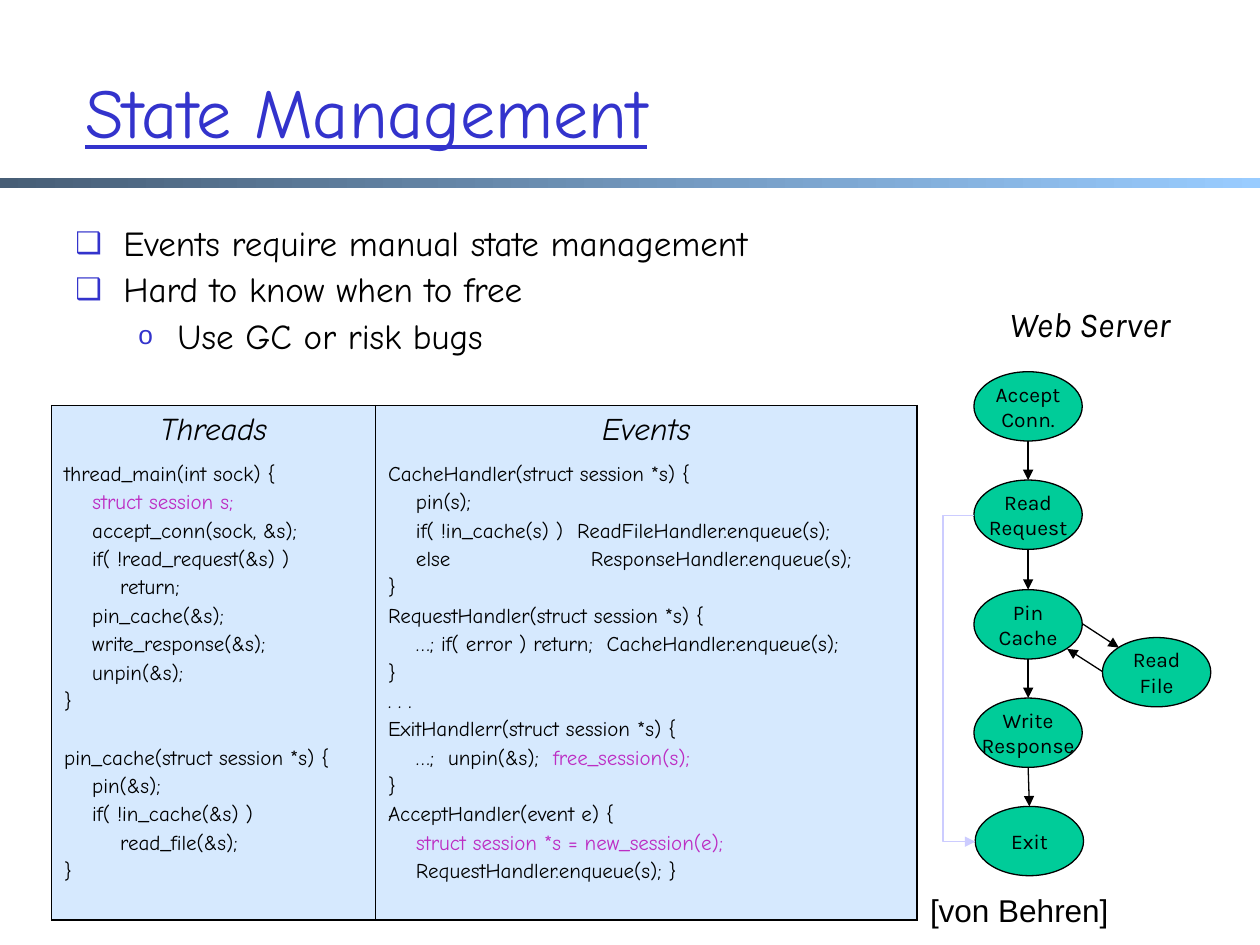
import lxml.etree
import pptx
import pptx.dml.color
import pptx.enum.shapes
import pptx.enum.text
import pptx.oxml.ns
import pptx.util

Inches, Pt = pptx.util.Inches, pptx.util.Pt
RGB = pptx.dml.color.RGBColor.from_string
ALIGN, ANCHOR = pptx.enum.text.PP_ALIGN, pptx.enum.text.MSO_ANCHOR
SHAPE, LINK = pptx.enum.shapes.MSO_SHAPE, pptx.enum.shapes.MSO_CONNECTOR
SPACE = pptx.oxml.ns.nsdecls("a")

THEME = {
    "title": {"size": Pt(40), "name": "Comic Neue", "underline": True, "color": "3333CC"},
    "body": {"size": Pt(20), "name": "Comic Neue", "color": "000000"},
    "head": {"size": Pt(18), "name": "Comic Neue", "italic": True, "color": "000000"},
    "code": {"size": Pt(12), "name": "Comic Neue", "color": "000000"},
    "state": {"size": Pt(12), "name": "Comic Neue", "color": "BC2DC3"},
    "label": {"size": Pt(20), "name": "Karla", "italic": True, "color": "000000"},
    "node": {"size": Pt(12), "name": "Karla", "color": "000000"},
    "cite": {"size": Pt(18), "name": "Arial", "color": "000000"},
    "bullet": "3333CC", "cell": "D6E9FE", "oval": "00CC99",
    "ink": "000000", "loop": "CCCCFF", "bar": ("475E76", "99CCFF"),
}


def write(para, text, kind):
    """Add a styled run to the paragraph; a newline becomes a line break."""
    for num, part in enumerate(text.split("\n")):
        if num:
            para.add_line_break()
        run = para.add_run()
        run.text = part
        for key, value in THEME[kind].items():
            if key == "color":
                run.font.color.rgb = RGB(value)
            else:
                setattr(run.font, key, value)


def xml(tag, inner="", attrs=""):
    return lxml.etree.fromstring(f"<a:{tag} {SPACE} {attrs}>{inner}</a:{tag}>")


deck = pptx.Presentation()
deck.slide_width, deck.slide_height = Inches(10), Inches(7.5)
slide = deck.slides.add_slide(deck.slide_layouts[6])
shapes = slide.shapes

# Bar under the title
bar = shapes.add_shape(SHAPE.RECTANGLE, 0, Inches(1.41), Inches(10), Inches(0.08))
bar.shadow.inherit = False
bar.line.fill.background()
bar.fill.gradient()
bar.fill.gradient_angle = 0
for stop, color in zip(bar.fill.gradient_stops, THEME["bar"]):
    stop.color.rgb = RGB(color)

# Single-line text
for text, kind, spot, form in [
    ("State Management", "title", (0.58, 0.25, 8.5, 1.25),
     {"word_wrap": True, "vertical_anchor": ANCHOR.MIDDLE}),
    ("Web Server", "label", (7.84, 2.35, 1.62, 0.43), {"word_wrap": False}),
    ("[von Behren]", "cite", (7.28, 7.02, 1.62, 0.4), {"word_wrap": False}),
]:
    frame = shapes.add_textbox(*map(Inches, spot)).text_frame
    for key, value in form.items():
        setattr(frame, key, value)
    para = frame.paragraphs[0]
    para.alignment = ALIGN.LEFT if kind == "title" else ALIGN.CENTER
    write(para, text, kind)

# Bullets
frame = shapes.add_textbox(Inches(0.5), Inches(1.75), Inches(7.32), Inches(1.18)).text_frame
frame.word_wrap = True
LEVELS = [("❑", 85, 0.38, 0.38), ("o", 75, 0.81, 0.31)]
for num, (level, text) in enumerate([
    (0, "Events require manual state management"),
    (0, "Hard to know when to free"),
    (1, "Use GC or risk bugs"),
]):
    para = frame.add_paragraph() if num else frame.paragraphs[0]
    mark, scale, left, hang = LEVELS[level]
    para.level = level
    para.line_spacing = 0.9
    para.space_before = Pt(4.7 if num else 0)
    props = para._p.get_or_add_pPr()
    props.set("marL", str(Inches(left)))
    props.set("indent", str(-Inches(hang)))
    props.append(xml("buClr", f'<a:srgbClr val="{THEME["bullet"]}"/>'))
    props.append(xml("buSzPct", attrs=f'val="{scale * 1000}"'))
    props.append(xml("buFont", attrs='typeface="Arial"'))
    props.append(xml("buChar", attrs=f'char="{mark}"'))
    write(para, text, "body")

# Code table: text after "|" is state handling, an empty line is a gap
THREADS = """thread_main(int sock) {
    |struct session s;
    accept_conn(sock, &s);
    if( !read_request(&s) )
        return;
    pin_cache(&s);
    write_response(&s);
    unpin(&s);
}

pin_cache(struct session *s) {
    pin(&s);
    if( !in_cache(&s) )
        read_file(&s);
}"""
EVENTS = """CacheHandler(struct session *s) {
    pin(s);
    if( !in_cache(s) )  ReadFileHandler.enqueue(s);
    else\tResponseHandler.enqueue(s);
}
RequestHandler(struct session *s) {
    …; if( error ) return;  CacheHandler.enqueue(s);
}
. . .
ExitHandlerr(struct session *s) {
    …;  unpin(&s);|  free_session(s);
}
AcceptHandler(event e) {
    |struct session *s = new_session(e);
    RequestHandler.enqueue(s); }"""

table = shapes.add_table(2, 2, Inches(0.41), Inches(3.22), Inches(6.87), Inches(4.08)).table
table.first_row = table.horz_banding = False
for row, high in zip(table.rows, (0.4, 3.68)):
    row.height = Inches(high)
for col, (wide, title, code) in enumerate([(2.57, "Threads", THREADS), (4.3, "Events", EVENTS)]):
    table.columns[col].width = Inches(wide)
    top, low = table.cell(0, col), table.cell(1, col)
    top.text_frame.paragraphs[0].alignment = ALIGN.CENTER
    write(top.text_frame.paragraphs[0], title, "head")

    gap, para = 0, None
    for line in code.split("\n"):
        if not line:
            gap += 16.2
            continue
        para = low.text_frame.add_paragraph() if para else low.text_frame.paragraphs[0]
        para.space_before = Pt(gap)
        gap = 2.4
        if "\t" in line:
            tab = f'<a:tab pos="{Inches(1.61)}" algn="l"/>'
            para._p.get_or_add_pPr().append(xml("tabLst", tab))
        for part, kind in zip(line.split("|"), ("code", "state")):
            write(para, part, kind)

    for cell, edges in ((top, "LRT"), (low, "LRB")):
        cell.fill.solid()
        cell.fill.fore_color.rgb = RGB(THEME["cell"])
        props = cell._tc.get_or_add_tcPr()
        for spot, side in enumerate("LRTB"):
            paint = f'<a:solidFill><a:srgbClr val="{THEME["ink"]}"/></a:solidFill>'
            paint = paint if side in edges else "<a:noFill/>"
            props.insert(spot, xml(f"ln{side}", paint, f'w="{Pt(1)}"'))

# Server stages
for text, left, top in [
    ("Accept\nConn.", 7.73, 2.95), ("Read\nRequest", 7.73, 3.81), ("Pin\nCache", 7.73, 4.68),
    ("Write\nResponse", 7.73, 5.54), ("Exit", 7.74, 6.4), ("Read\nFile", 8.75, 5.06),
]:
    oval = shapes.add_shape(SHAPE.OVAL, Inches(left), Inches(top), Inches(0.86), Inches(0.55))
    oval.shadow.inherit = False
    oval.fill.solid()
    oval.fill.fore_color.rgb = RGB(THEME["oval"])
    oval.line.color.rgb = RGB(THEME["ink"])
    oval.line.width = Pt(0.75)
    frame = oval.text_frame
    frame.word_wrap = False
    frame.vertical_anchor = ANCHOR.MIDDLE
    frame.paragraphs[0].alignment = ALIGN.CENTER
    write(frame.paragraphs[0], text, "node")

# Arrows between stages
for form, color, ends in [
    (LINK.STRAIGHT, "ink", (8.16, 3.5, 8.16, 3.81)),
    (LINK.STRAIGHT, "ink", (8.16, 4.36, 8.16, 4.68)),
    (LINK.STRAIGHT, "ink", (8.16, 5.23, 8.16, 5.54)),
    (LINK.STRAIGHT, "ink", (8.16, 6.09, 8.17, 6.4)),
    (LINK.STRAIGHT, "ink", (8.59, 4.95, 8.88, 5.14)),
    (LINK.STRAIGHT, "ink", (8.75, 5.33, 8.47, 5.15)),
    (LINK.ELBOW, "loop", (7.73, 4.09, 7.74, 6.68)),
]:
    arrow = shapes.add_connector(form, *map(Inches, ends))
    arrow.line.color.rgb = RGB(THEME[color])
    arrow.line.width = Pt(0.75)
    arrow.line._get_or_add_ln().append(xml("tailEnd", attrs='type="triangle"'))
    arrow._element.spPr.append(xml("effectLst"))
    if form == LINK.ELBOW:
        # The bend lies 0.25 inch left of a connector 0.01 inch wide
        guide = arrow._element.spPr.prstGeom.get_or_add_avLst()
        guide.append(xml("gd", attrs='name="adj1" fmla="val -2500000"'))

deck.save("out.pptx")
